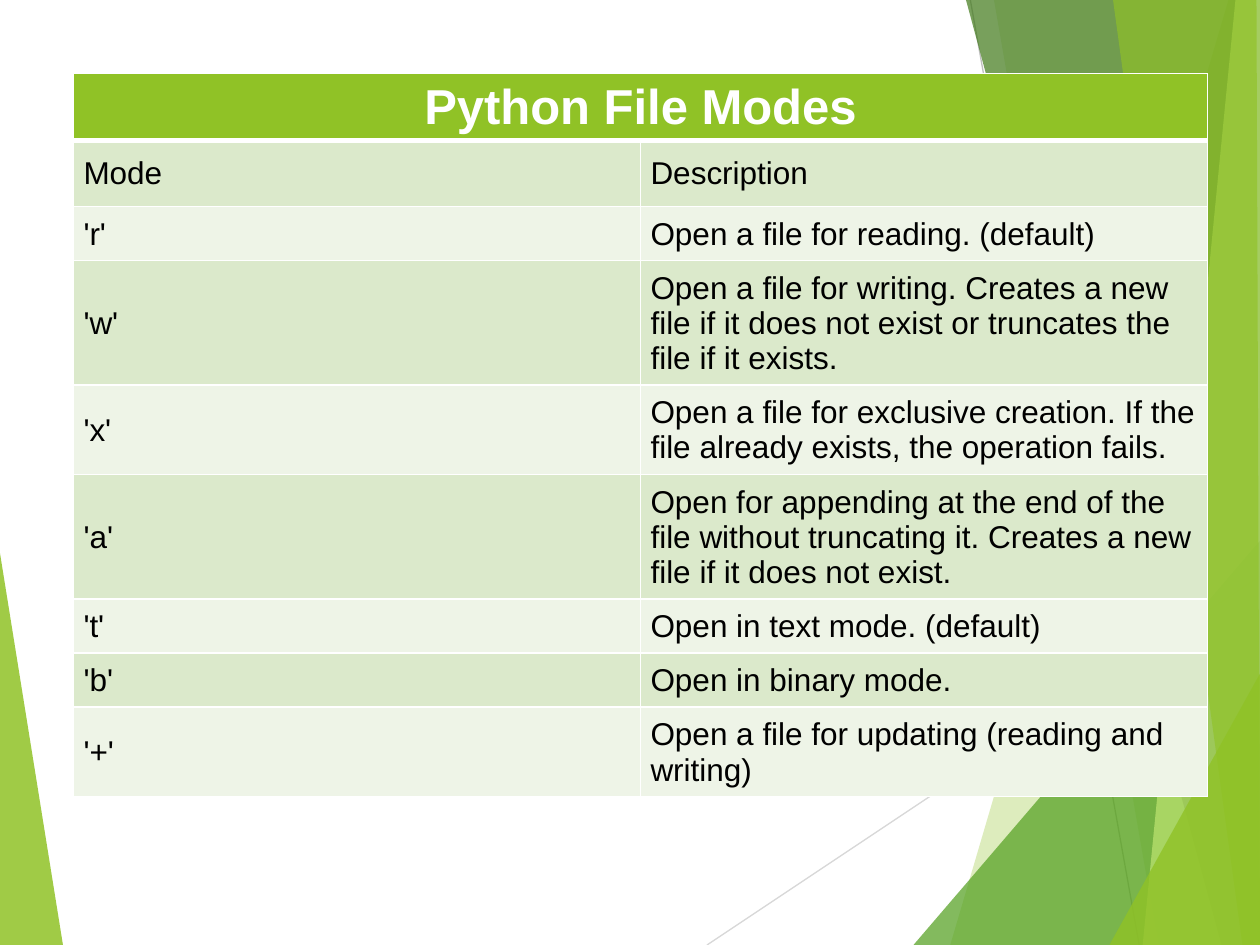
from lxml import etree
from pptx import Presentation
from pptx import util as u
from pptx.dml.color import RGBColor
from pptx.enum import shapes, text
from pptx.oxml import ns

COLORS = {
    "green": "90C226", "leaf": "54A021", "forest": "3F7818", "lime": "BFE471",
    "band_dark": "DBE9CB", "band_light": "EEF4E7", "white": "FFFFFF",
    "black": "000000", "ray_light": "D8D8D8", "ray_dark": "BFBFBF",
}
RAYS = [((404, 540), (720.5, 329), "ray_light"),
        ((554.5, 0), (651, 540), "ray_dark")]
# Corner points, colour, opacity in percent
FACETS = [
    ([(702, 0), (543, 540), (721, 540.5), (720.5, 0.5)], "green", 30),
    ([(567.5, -0.5), (661.5, 540), (720.5, 540), (720.5, -0.5)], "green", 20),
    ([(522.5, 540), (720, 309), (720.5, 540)], "leaf", 72),
    ([(552, -0.5), (698.5, 540), (720.5, 539.5), (720.5, -0.5)], "forest", 70),
    ([(706.5, -0.5), (653, 540), (720.5, 540), (720, -0.5)], "lime", 70),
    ([(636, -0.5), (710, 540), (720, 540), (718.5, -0.5)], "green", 65),
    ([(634.5, 540), (720.5, 385), (720.5, 539.5)], "green", 80),
]
LEFT_FACET = ([(-0.5, 316), (35.5, 540.5), (-0.5, 540)], "green", 85)
MODES = [
    ("Mode", "Description"),
    ("'r'", "Open a file for reading. (default)"),
    ("'w'", "Open a file for writing. Creates a new file if it does not exist "
            "or truncates the file if it exists."),
    ("'x'", "Open a file for exclusive creation. If the file already exists, "
            "the operation fails."),
    ("'a'", "Open for appending at the end of the file without truncating it. "
            "Creates a new file if it does not exist."),
    ("'t'", "Open in text mode. (default)"),
    ("'b'", "Open in binary mode."),
    ("'+'", "Open a file for updating (reading and writing)"),
]
ROW_HEIGHT = 29.5  # minimum; rows grow to fit their text
# Left, top, right and bottom cell margins
TITLE_MARGINS = (7.2, 3.6, 7.2, 3.6)
HEADING_MARGINS = (5.75, 8.65, 5, 8.65)
BODY_MARGINS = (5.75, 5.75, 5, 5)


def rgb(name):
    """Return a named colour."""
    return RGBColor.from_string(COLORS[name])


def set_all(obj, values):
    """Set attributes of an object from a dict."""
    for name, value in values.items():
        setattr(obj, name, value)


def add_facet(slide, points, color, opacity):
    """Add a translucent polygon."""
    builder = slide.shapes.build_freeform(*points[0], scale=u.Pt(1))
    builder.add_line_segments(points[1:], close=True)
    sp = builder.convert_to_shape()
    sp.shadow.inherit = False
    sp.fill.solid()
    sp.fill.fore_color.rgb = rgb(color)
    clr = sp._element.spPr.find(".//" + ns.qn("a:srgbClr"))
    etree.SubElement(clr, ns.qn("a:alpha"), val=str(opacity * 1000))
    sp.line.fill.background()


def add_ray(slide, start, end, color):
    """Add a thin straight line."""
    ends = [u.Pt(v) for v in start + end]
    line = slide.shapes.add_connector(shapes.MSO_CONNECTOR.STRAIGHT, *ends)
    line.line.color.rgb = rgb(color)
    line.line.width = u.Pt(0.75)
    etree.SubElement(line._element.spPr, ns.qn("a:effectLst"))


def set_borders(cell, top=1, bottom=1):
    """Give a cell white borders."""
    tc_pr = cell._tc.get_or_add_tcPr()
    sides = {"L": 1, "R": 1, "T": top, "B": bottom}
    for i, (side, width) in enumerate(sides.items()):
        ln = etree.Element(ns.qn("a:ln" + side), w=str(u.Pt(width)))
        fill = etree.SubElement(ln, ns.qn("a:solidFill"))
        etree.SubElement(fill, ns.qn("a:srgbClr"), val=COLORS["white"])
        tc_pr.insert(i, ln)


def fill_cell(cell, words, fill, margins, color="black", size=18, bold=False,
              align=text.PP_ALIGN.LEFT):
    """Write and format one table cell."""
    left, top, right, bottom = map(u.Pt, margins)
    set_all(cell, {"margin_left": left, "margin_top": top,
                   "margin_right": right, "margin_bottom": bottom,
                   "vertical_anchor": text.MSO_ANCHOR.MIDDLE})
    cell.fill.solid()
    cell.fill.fore_color.rgb = rgb(fill)
    p = cell.text_frame.paragraphs[0]
    p.alignment = align
    r = p.add_run()
    r.text = words
    set_all(r.font, {"name": "Arial", "size": u.Pt(size), "bold": bold})
    r.font.color.rgb = rgb(color)


def add_modes_table(slide):
    """Add the table of file modes under a merged title row."""
    frame = slide.shapes.add_table(len(MODES) + 1, 2, u.Pt(42), u.Pt(42),
                                   u.Pt(648), u.Pt(462))
    table = frame.table
    table.horz_banding = False
    for row in table.rows:
        row.height = u.Pt(ROW_HEIGHT)
    title = table.cell(0, 0)
    title.merge(table.cell(0, 1))
    fill_cell(title, "Python File Modes", "green", TITLE_MARGINS, "white",
              28, True, text.PP_ALIGN.CENTER)
    for col in range(2):
        set_borders(table.cell(0, col), bottom=3)
    for i, words in enumerate(MODES, 1):
        fill = "band_dark" if i % 2 else "band_light"
        margins = HEADING_MARGINS if i == 1 else BODY_MARGINS
        for col, word in enumerate(words):
            cell = table.cell(i, col)
            fill_cell(cell, word, fill, margins)
            set_borders(cell, top=3 if i == 1 else 1)


def main():
    """Build the slide."""
    prs = Presentation()
    set_all(prs, {"slide_width": u.Pt(720), "slide_height": u.Pt(540)})
    slide = prs.slides.add_slide(prs.slide_layouts[6])
    add_facet(slide, *LEFT_FACET)
    for ray in RAYS:
        add_ray(slide, *ray)
    for facet in FACETS:
        add_facet(slide, *facet)
    add_modes_table(slide)
    prs.save("out.pptx")


main()
